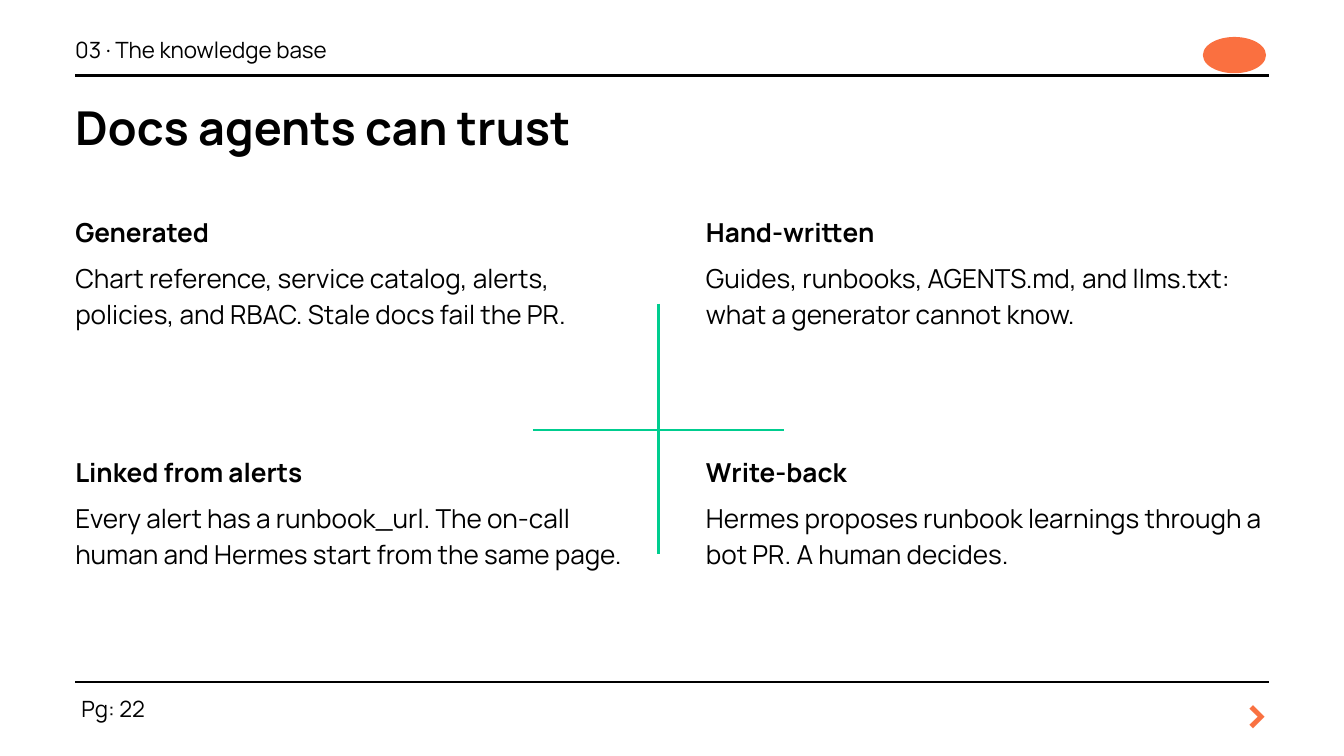
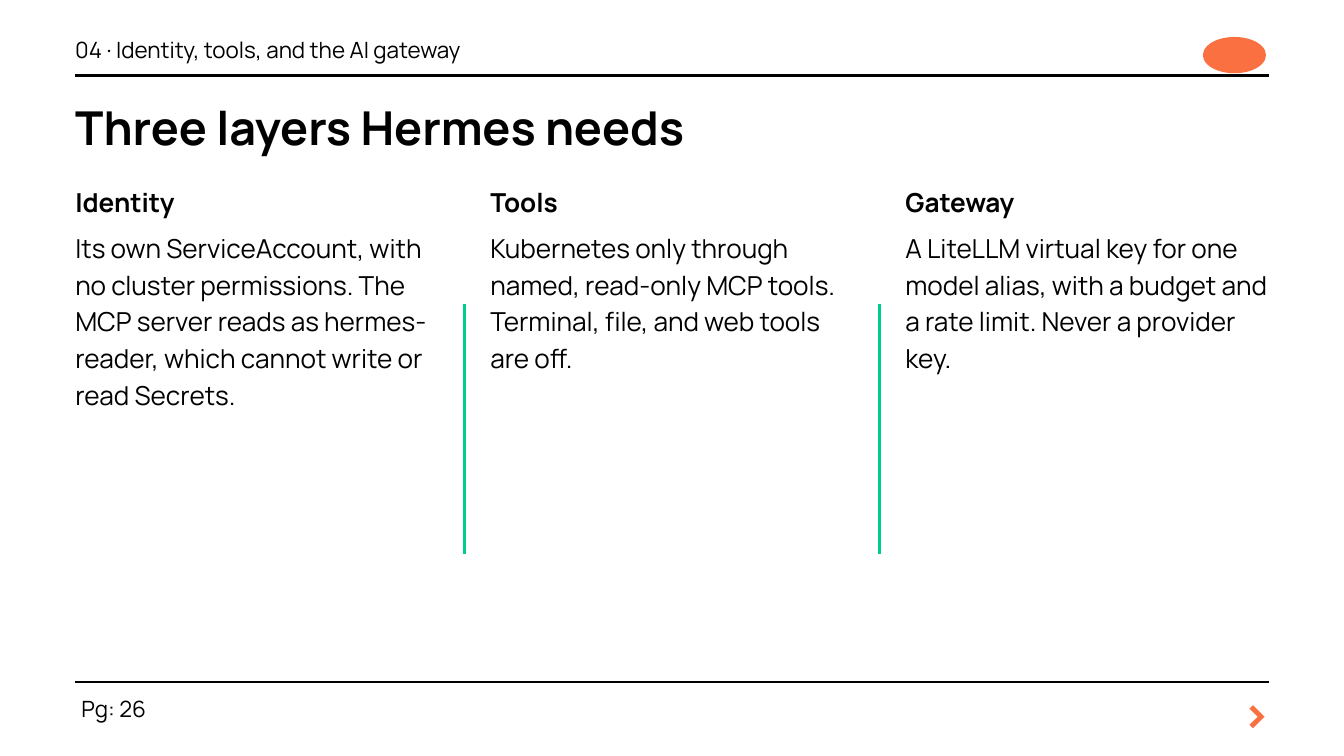
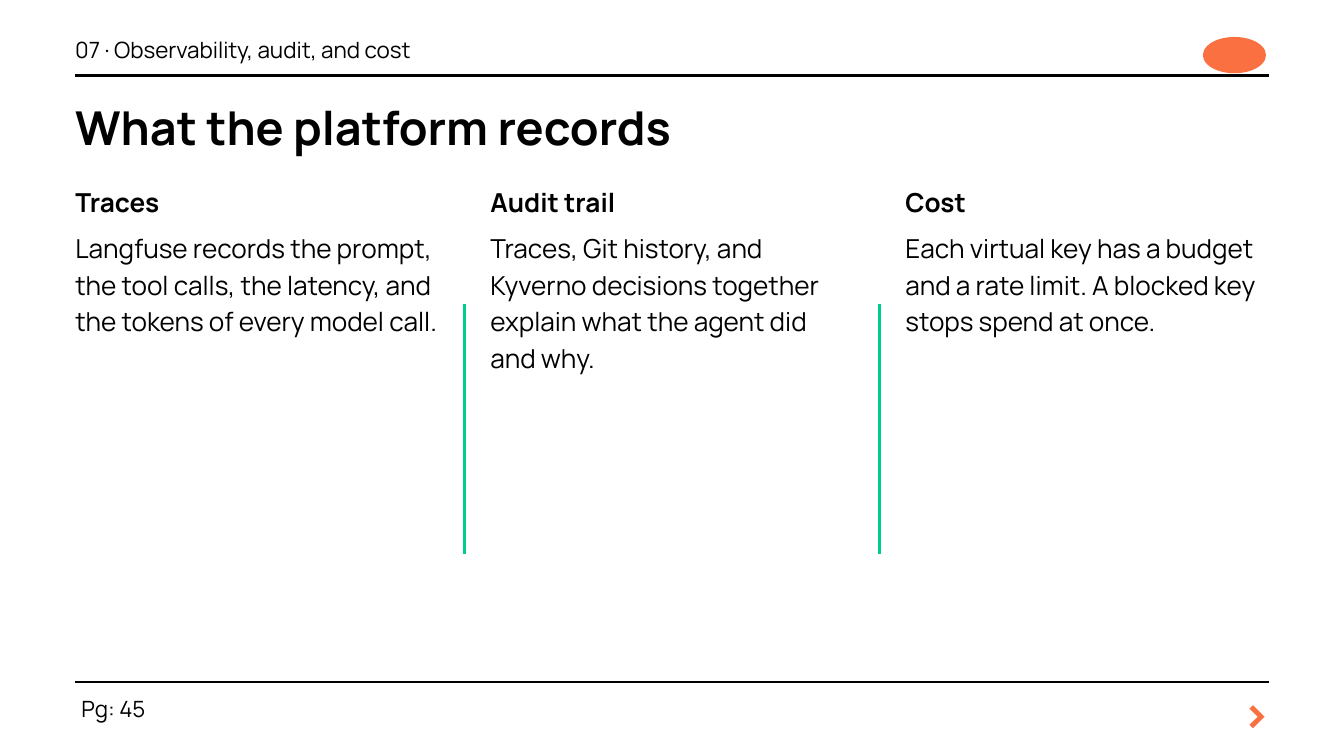
from pptx import Presentation
from pptx.dml.color import RGBColor
from pptx.enum.shapes import MSO_CONNECTOR as Conn, MSO_SHAPE as Kind
from pptx.enum.text import MSO_AUTO_SIZE as Fit, PP_ALIGN as Align
from pptx.oxml.ns import qn
from pptx.util import Inches, Pt
from lxml.etree import SubElement

FONT = "Manrope"
INK, GREEN, ORANGE, CORAL = "000000", "00CD8F", "FA7040", "F97141"
LEFT, RIGHT = 1.12, 18.88
LEAD = 1.4


def rgb(code):
    """Turn a hex string into a colour."""
    return RGBColor.from_string(code)


class Deck:
    """Holds the style and the current slide."""

    def __init__(self):
        """Start an empty wide deck."""
        self.prs = Presentation()
        self.prs.slide_width = Inches(20)
        self.prs.slide_height = Inches(11.25)

    def page(self, part, title, num):
        """Add a slide with its header, title and footer."""
        self.slide = self.prs.slides.add_slide(self.prs.slide_layouts[6])
        for y in (1.12, 10.15):
            self.line(LEFT, y, RIGHT, y, INK)
        self.badge(17.9, 0.55, 0.94, 0.54)
        self.text(18.46, 10.03, 0.41, 0.98, [">"], 52, True, CORAL, Align.CENTER)
        self.text(1.21, 10.28, 1.6, 0.44, [f"Pg: {num}"], 24)
        self.text(LEFT, 0.47, 14, 0.44, [part], 24)
        self.text(LEFT, 1.33, 16.5, 0.94, [title], 50, True)

    def badge(self, x, y, w, h):
        """Draw the plain corner badge."""
        box = self.slide.shapes.add_shape(
            Kind.OVAL, Inches(x), Inches(y), Inches(w), Inches(h))
        box.shadow.inherit = False
        box.fill.solid()
        box.fill.fore_color.rgb = rgb(ORANGE)
        box.line.fill.background()

    def line(self, x1, y1, x2, y2, color=GREEN):
        """Draw a straight rule."""
        rule = self.slide.shapes.add_connector(
            Conn.STRAIGHT, Inches(x1), Inches(y1), Inches(x2), Inches(y2))
        rule.line.color.rgb = rgb(color)
        rule.line.width = Pt(3)
        SubElement(rule._element.spPr, qn("a:effectLst"))

    def text(self, x, y, w, h, paras, size, bold=False, color=INK, align=Align.LEFT):
        """Write paragraphs, with bold for the first one only."""
        box = self.slide.shapes.add_textbox(Inches(x), Inches(y), Inches(w), Inches(h))
        frame = box.text_frame
        frame.word_wrap = True
        frame.auto_size = Fit.SHAPE_TO_FIT_TEXT
        frame.margin_left = frame.margin_right = 0
        frame.margin_top = frame.margin_bottom = 0
        frame.text = "\n".join(paras)
        for i, para in enumerate(frame.paragraphs):
            para.alignment = align
            para.line_spacing = Pt(round(size * LEAD, 1))
            if i:
                para.space_before = Pt(10)
            for run in para.runs:
                font = run.font
                font.name, font.size = FONT, Pt(size)
                font.bold = bold and i == 0
                font.color.rgb = rgb(color)

    def grid(self, cards, cols, gap, top, high, pitch=0):
        """Lay out headed cards row by row."""
        step = (RIGHT - LEFT + gap) / cols
        for i, card in enumerate(cards):
            row, col = divmod(i, cols)
            self.text(LEFT + col * step, top + row * pitch, step - gap, high,
                      card, 28, True)

    def quad(self, cards):
        """Show four cards around a cross."""
        self.grid(cards, 2, 1.01, 3.14, 3.08, 3.57)
        self.line(7.93, 6.4, 11.67, 6.4)
        self.line(9.8, 4.52, 9.8, 8.25)

    def trio(self, cards):
        """Show three columns with rules in the gaps."""
        gap = 0.77
        self.grid(cards, 3, gap, 2.7, 7.32)
        step = (RIGHT - LEFT + gap) / 3
        for i in (1, 2):
            x = LEFT + i * step - gap / 2
            self.line(x, 4.52, x, 8.25)


def main():
    """Build the three slides."""
    deck = Deck()
    deck.page("03 · The knowledge base", "Docs agents can trust", 22)
    deck.quad([
        ("Generated", "Chart reference, service catalog, alerts, policies, and RBAC. "
         "Stale docs fail the PR."),
        ("Hand-written", "Guides, runbooks, AGENTS.md, and llms.txt: "
         "what a generator cannot know."),
        ("Linked from alerts", "Every alert has a runbook_url. "
         "The on-call human and Hermes start from the same page."),
        ("Write-back", "Hermes proposes runbook learnings through a bot PR. "
         "A human decides."),
    ])
    deck.page("04 · Identity, tools, and the AI gateway", "Three layers Hermes needs", 26)
    deck.trio([
        ("Identity", "Its own ServiceAccount, with no cluster permissions. "
         "The MCP server reads as hermes-reader, which cannot write or read Secrets."),
        ("Tools", "Kubernetes only through named, read-only MCP tools. "
         "Terminal, file, and web tools are off."),
        ("Gateway", "A LiteLLM virtual key for one model alias, "
         "with a budget and a rate limit. Never a provider key."),
    ])
    deck.page("07 · Observability, audit, and cost", "What the platform records", 45)
    deck.trio([
        ("Traces", "Langfuse records the prompt, the tool calls, the latency, "
         "and the tokens of every model call."),
        ("Audit trail", "Traces, Git history, and Kyverno decisions together "
         "explain what the agent did and why."),
        ("Cost", "Each virtual key has a budget and a rate limit. "
         "A blocked key stops spend at once."),
    ])
    deck.prs.save("out.pptx")


if __name__ == "__main__":
    main()
